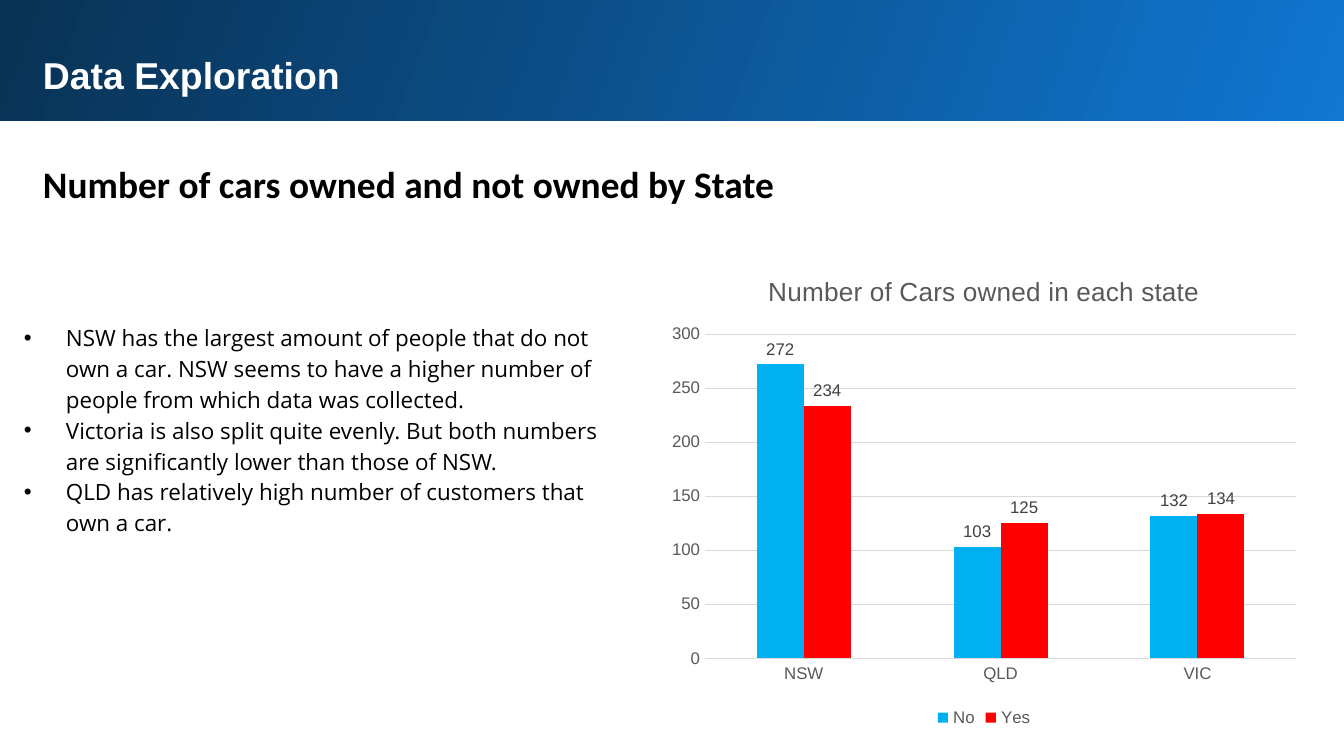
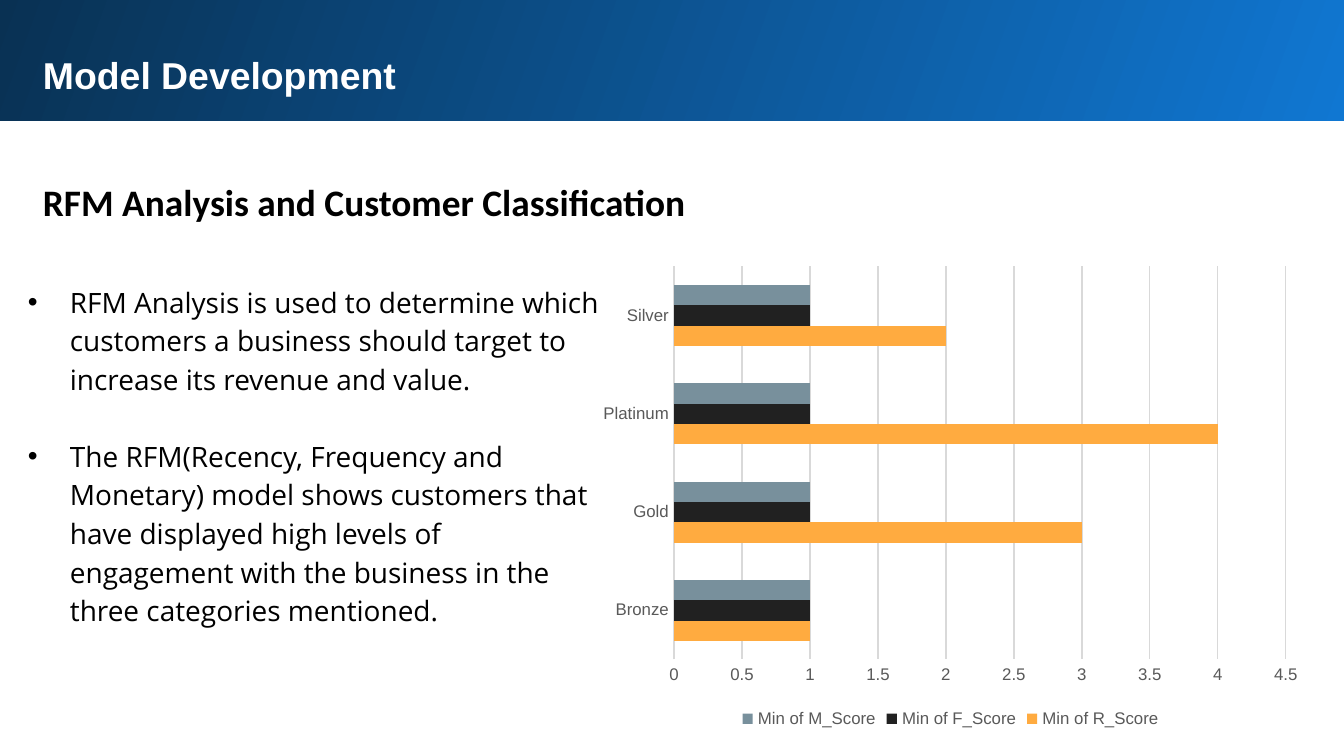
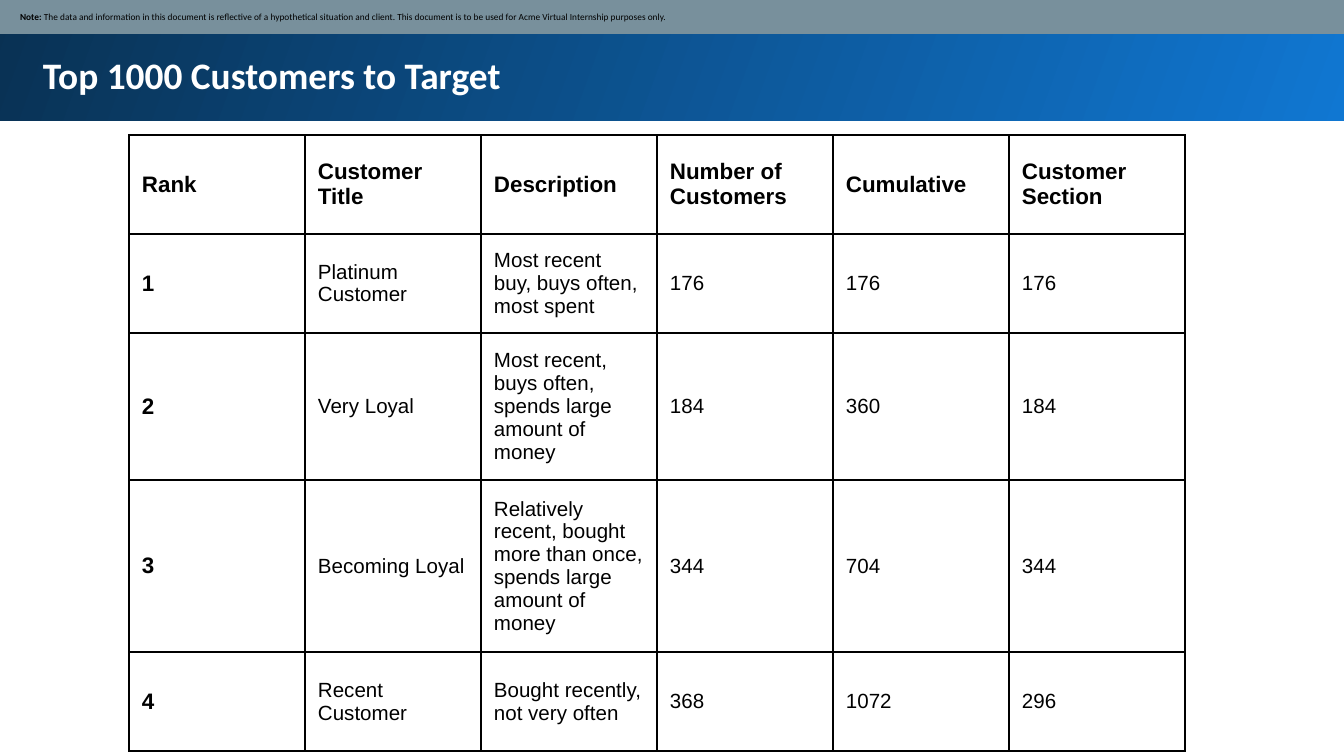
import lxml.etree
import pptx
import pptx.chart.data
import pptx.dml.color
import pptx.enum.chart
import pptx.enum.shapes
import pptx.enum.text
import pptx.oxml.ns
import pptx.util

PX = 914400 / 134.4
COLORS = {
    "white": "FFFFFF", "black": "000000", "band_light": "1077D2", "band_dark": "093153",
    "note": "78909C", "grid": "D9D9D9", "axis": "595959", "label": "404040",
    "no": "00B0F0", "yes": "FF0000", "recency": "FFAB40", "frequency": "212121",
    "monetary": "78909C",
}


def px(length):
    """Turn pixels into EMU."""
    return pptx.util.Emu(round(length * PX))


def color(name):
    """Look up a named colour."""
    return pptx.dml.color.RGBColor.from_string(COLORS[name])


def assign(target, **values):
    """Set each given attribute on the target."""
    for key, value in values.items():
        setattr(target, key, value)


def paint(fill, shade):
    """Give a fill one solid colour."""
    fill.solid()
    fill.fore_color.rgb = color(shade)


def element(parent, tag, **attributes):
    """Append a drawing element to its parent."""
    return lxml.etree.SubElement(parent, pptx.oxml.ns.qn(tag), attributes)


class Deck:
    """Holds the shared style and the current slide."""

    def __init__(self):
        self.prs = pptx.Presentation()
        assign(self.prs, slide_width=px(1344), slide_height=px(756))
        self.slide = None

    def style(self, font, size, shade="black", face="Arial", bold=False):
        """Format a font."""
        assign(font, name=face, size=pptx.util.Pt(size), bold=bold)
        font.color.rgb = color(shade)

    def put_text(self, paragraph, text, *look, **format_values):
        """Add a formatted run to a paragraph."""
        run = paragraph.add_run()
        run.text = text
        self.style(run.font, *look, **format_values)

    def rectangle(self, left, top, width, height):
        """Add a plain rectangle without outline or shadow."""
        shape = self.slide.shapes.add_shape(
            pptx.enum.shapes.MSO_SHAPE.RECTANGLE, px(left), px(top), px(width), px(height))
        shape.shadow.inherit = False
        shape.line.fill.background()
        return shape

    def text_frame(self, left, top, width, height, top_inset=13):
        """Add a wrapping text box and return its frame."""
        frame = self.slide.shapes.add_textbox(
            px(left), px(top), px(width), px(height)).text_frame
        assign(frame, word_wrap=True,
               auto_size=pptx.enum.text.MSO_AUTO_SIZE.SHAPE_TO_FIT_TEXT,
               margin_left=px(13), margin_right=px(13),
               margin_top=px(top_inset), margin_bottom=px(13))
        return frame

    def start(self, title, face="Arial"):
        """Begin a slide with the gradient title band."""
        self.slide = self.prs.slides.add_slide(self.prs.slide_layouts[6])
        paint(self.slide.background.fill, "white")
        band = self.rectangle(-3, -3, 1351, 124)
        band.fill.gradient()
        band.fill.gradient_angle = 160
        for stop, shade in zip(band.fill.gradient_stops, ("band_light", "band_dark")):
            stop.color.rgb = color(shade)
        frame = self.text_frame(30, 39, 1259, 69)
        self.put_text(frame.paragraphs[0], title, 20, "white", face=face, bold=True)

    def heading(self, text, top):
        """Add the heading below the band."""
        paragraph = self.text_frame(30, top, 1259, 76).paragraphs[0]
        paragraph.line_spacing = 1.15
        self.put_text(paragraph, text, 20, face="Calibri", bold=True)

    def bullets(self, points, left, top, height, size, gap=0, top_inset=13):
        """Add a bulleted list."""
        frame = self.text_frame(left, top, 607, height, top_inset)
        indent = px(42)
        for index, point in enumerate(points):
            paragraph = frame.add_paragraph() if index else frame.paragraphs[0]
            properties = paragraph._p.get_or_add_pPr()
            properties.set("marL", str(indent))
            properties.set("indent", str(-indent))
            element(properties, "a:buFont", typeface="Arial")
            element(properties, "a:buChar", char="•")
            paragraph.line_spacing = 1.15
            if index and gap:
                paragraph.space_before = pptx.util.Pt(gap)
            self.put_text(paragraph, point, size, face="Open Sans")

    def note(self, lead, text):
        """Add the note strip along the top edge."""
        strip = self.rectangle(-1, -1, 1347, 35)
        paint(strip.fill, "note")
        frame = strip.text_frame
        assign(frame, word_wrap=True, vertical_anchor=pptx.enum.text.MSO_ANCHOR.MIDDLE,
               margin_left=px(21), margin_right=px(7), margin_top=px(7), margin_bottom=px(7))
        paragraph = frame.paragraphs[0]
        paragraph.alignment = pptx.enum.text.PP_ALIGN.LEFT
        self.put_text(paragraph, lead, 5, face="Calibri", bold=True)
        self.put_text(paragraph, text, 5, face="Calibri")

    def chart(self, kind, box, categories, series, gap, top_value, step,
              title=None, labels=False):
        """Add a clustered chart from (name, values, colour) series."""
        data = pptx.chart.data.CategoryChartData()
        data.categories = categories
        for name, values, _ in series:
            data.add_series(name, values)
        chart = self.slide.shapes.add_chart(kind, *map(px, box), data).chart
        self.style(chart.font, 10)
        assign(chart, has_title=bool(title), has_legend=True)
        if title:
            self.put_text(chart.chart_title.text_frame.paragraphs[0], title, 14, "axis")
        assign(chart.legend, position=pptx.enum.chart.XL_LEGEND_POSITION.BOTTOM,
               include_in_layout=False)
        self.style(chart.legend.font, 9, "axis")
        category_axis, value_axis = chart.category_axis, chart.value_axis
        for axis in (category_axis, value_axis):
            assign(axis, major_tick_mark=pptx.enum.chart.XL_TICK_MARK.NONE,
                   minor_tick_mark=pptx.enum.chart.XL_TICK_MARK.NONE)
            self.style(axis.tick_labels.font, 9, "axis")
        assign(value_axis, minimum_scale=0, maximum_scale=top_value, major_unit=step,
               has_major_gridlines=True)
        value_axis.format.line.fill.background()
        for line in (category_axis.format.line, value_axis.major_gridlines.format.line):
            line.color.rgb = color("grid")
            line.width = pptx.util.Pt(0.75)
        plot = chart.plots[0]
        assign(plot, gap_width=gap, overlap=0, vary_by_categories=False)
        for bars, (_, _, shade) in zip(plot.series, series):
            bars.invert_if_negative = False
            paint(bars.format.fill, shade)
            if labels:
                assign(bars.data_labels, show_value=True,
                       position=pptx.enum.chart.XL_LABEL_POSITION.OUTSIDE_END)
                self.style(bars.data_labels.font, 9, "label")

    def border(self, cell):
        """Draw a thin line on every side of a cell."""
        properties = cell._tc.get_or_add_tcPr()
        for side in ("a:lnL", "a:lnR", "a:lnT", "a:lnB"):
            line = element(properties, side, w=str(pptx.util.Pt(1)))
            element(element(line, "a:solidFill"), "a:srgbClr", val=COLORS["black"])

    def table(self, rows, left, top, column_width, row_height, height):
        """Add a ruled table with a bold first row and first column."""
        columns = len(rows[0])
        frame = self.slide.shapes.add_table(
            len(rows), columns, px(left), px(top), px(column_width * columns), px(height))
        table = frame.table
        assign(table, first_row=False, horz_banding=False)
        for row, texts in enumerate(rows):
            table.rows[row].height = px(row_height)
            for column, text in enumerate(texts):
                cell = table.cell(row, column)
                assign(cell, vertical_anchor=pptx.enum.text.MSO_ANCHOR.MIDDLE,
                       margin_left=px(13), margin_right=px(13),
                       margin_top=px(12), margin_bottom=px(12))
                self.border(cell)
                cell.fill.background()
                header = row == 0 or column == 0
                self.put_text(cell.text_frame.paragraphs[0], text,
                              12 if header else 11, bold=header)
        frame.height = px(height)


def main():
    """Build the three slides."""
    deck = Deck()
    chart_type = pptx.enum.chart.XL_CHART_TYPE

    deck.start("Data Exploration")
    deck.heading("Number of cars owned and not owned by State", 141)
    deck.bullets([
        "NSW has the largest amount of people that do not own a car. NSW seems to have "
        "a higher number of people from which data was collected.",
        "Victoria is also split quite evenly. But both numbers are significantly lower "
        "than those of NSW.",
        "QLD has relatively high number of customers that own a car.",
    ], 11, 247, 337, 12, top_inset=73)
    deck.chart(chart_type.COLUMN_CLUSTERED, (659, 253, 650, 480), ["NSW", "QLD", "VIC"], [
        ("No", (272, 103, 132), "no"),
        ("Yes", (234, 125, 134), "yes"),
    ], 219, 300, 50, "Number of Cars owned in each state", labels=True)

    deck.start("Model Development")
    deck.heading("RFM Analysis and Customer Classification", 159)
    deck.bullets([
        "RFM Analysis is used to determine which customers a business should target to "
        "increase its revenue and value.",
        "The RFM(Recency, Frequency and Monetary) model shows customers that have "
        "displayed high levels of engagement with the business in the three categories "
        "mentioned.",
    ], 15, 267, 415, 15, gap=20.5)
    deck.chart(chart_type.BAR_CLUSTERED, (589, 257, 723, 477),
               ["Bronze", "Gold", "Platinum", "Silver"], [
        ("Min of R_Score", (1, 3, 4, 2), "recency"),
        ("Min of F_Score", (1, 1, 1, 1), "frequency"),
        ("Min of M_Score", (1, 1, 1, 1), "monetary"),
    ], 182, 4.5, 0.5)

    deck.start("Top 1000 Customers to Target", "Calibri")
    deck.note("Note: ", "The data and information in this document is reflective of a "
              "hypothetical situation and client. This document is to be used for Acme "
              "Virtual Internship purposes only.")
    deck.table([
        ("Rank", "Customer Title", "Description", "Number of Customers", "Cumulative",
         "Customer Section"),
        ("1", "Platinum Customer", "Most recent buy, buys often, most spent",
         "176", "176", "176"),
        ("2", "Very Loyal", "Most recent, buys often, spends large amount of money",
         "184", "360", "184"),
        ("3", "Becoming Loyal",
         "Relatively recent, bought more than once, spends large amount of money",
         "344", "704", "344"),
        ("4", "Recent Customer", "Bought recently, not very often",
         "368", "1072", "296"),
    ], 129, 135, 176, 99, 597)

    deck.prs.save("out.pptx")


if __name__ == "__main__":
    main()
